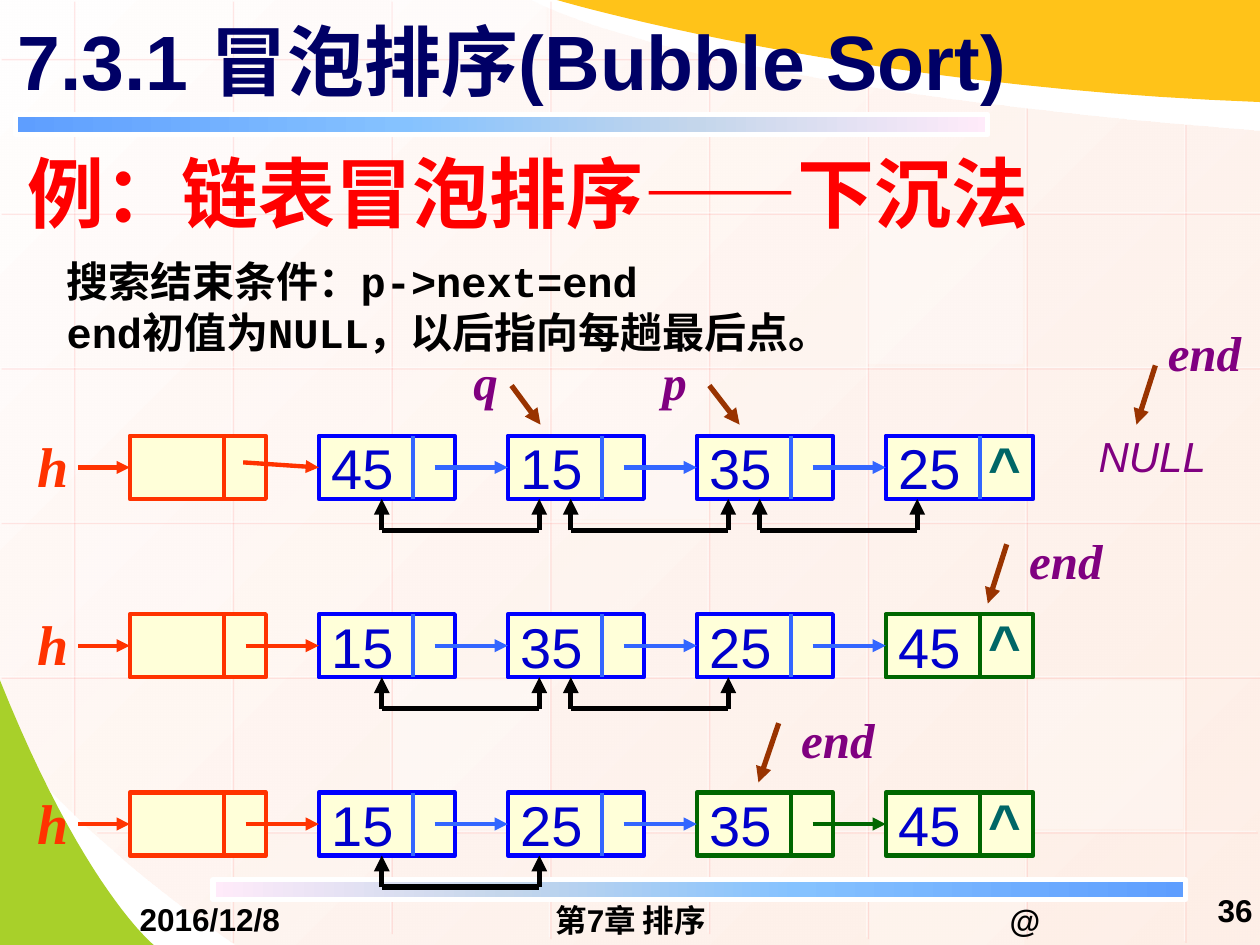
from dataclasses import dataclass

from pptx import Presentation
from pptx import util as u
from pptx.dml.color import RGBColor
from pptx.enum import shapes, text
from pptx.oxml import parse_xml
from pptx.oxml.ns import nsdecls, qn

CELL = u.Inches(0.25)
MIDDLE, TOP = text.MSO_ANCHOR.MIDDLE, text.MSO_ANCHOR.TOP
LEFT, CENTER, RIGHT = text.PP_ALIGN.LEFT, text.PP_ALIGN.CENTER, text.PP_ALIGN.RIGHT


@dataclass(frozen=True)
class Theme:
    sans: str = "Arial"
    serif: str = "Times New Roman"
    mono: str = "Courier New"
    heading: int = 44
    value: int = 32
    pointer: int = 28
    body: int = 24
    footer: int = 18
    black: str = "000000"
    white: str = "FFFFFF"
    title: str = "000066"
    example: str = "FF0000"
    node: str = "FFFFD9"
    number: str = "0000CC"
    border: str = "0000FF"
    link: str = "3366FF"
    head: str = "FF3300"
    settled: str = "006600"
    null: str = "006666"
    label: str = "800080"
    arrow: str = "993300"
    leaf: str = "A8D02A"
    sun: str = "FFC319"
    grid_shadow: str = "FF7575"
    paper: tuple = ((0, "FFFEFE", 100), (100, "FEE9DE", 70))
    bar: tuple = ((0, "5E9EFF", 100), (40, "85C2FF", 100),
                  (70, "C4D6EB", 100), (100, "FFEBFA", 100))


def cells(*lengths):
    return [round(length * CELL) for length in lengths]


def color_xml(rgb, opacity):
    return f'<a:srgbClr val="{rgb}"><a:alpha val="{opacity * 1000}"/></a:srgbClr>'


def curve(start, c1, c2, end, steps=24):
    for t in (k / steps for k in range(1, steps + 1)):
        s = 1 - t
        yield tuple(s**3 * a + 3 * s * s * t * b + 3 * s * t * t * c + t**3 * d
                    for a, b, c, d in zip(start, c1, c2, end))


class Board:
    def __init__(self, slide, theme):
        self.shapes, self.theme = slide.shapes, theme

    def paint(self, shape, fill, line=None, width=0, opacity=100, angle=0):
        shape.shadow.inherit = False
        if isinstance(fill, tuple):
            stops = "".join(f'<a:gs pos="{at * 1000}">{color_xml(rgb, alpha)}</a:gs>'
                            for at, rgb, alpha in fill)
            shape.element.spPr[1].addnext(parse_xml(
                f'<a:gradFill {nsdecls("a")} rotWithShape="1"><a:gsLst>{stops}</a:gsLst>'
                f'<a:lin ang="{angle * 60000}" scaled="0"/></a:gradFill>'))
        else:
            shape.fill.solid()
            shape.fill.fore_color.rgb = RGBColor.from_string(fill)
            self.fade(shape.element.spPr, opacity)
        if line:
            shape.line.color.rgb = RGBColor.from_string(line)
            shape.line.width = u.Pt(width)
        else:
            shape.line.fill.background()
        return shape

    def fade(self, properties, opacity):
        if opacity < 100:
            properties.find(".//" + qn("a:srgbClr")).append(
                parse_xml(f'<a:alpha {nsdecls("a")} val="{opacity * 1000}"/>'))

    def rect(self, box, fill, **style):
        shape = self.shapes.add_shape(shapes.MSO_SHAPE.RECTANGLE, *cells(*box))
        return self.paint(shape, fill, **style)

    def outline(self, points, fill, **style):
        start, *rest = [tuple(cells(*point)) for point in points]
        builder = self.shapes.build_freeform(*start, scale=1.0)
        builder.add_line_segments(rest, close=True)
        return self.paint(builder.convert_to_shape(), fill, **style)

    def line(self, start, end, color, width=2.5, arrow=False, target=None,
             opacity=100, shadow=""):
        line = self.shapes.add_connector(shapes.MSO_CONNECTOR.STRAIGHT,
                                         *cells(*start, *end))
        line.line.color.rgb = RGBColor.from_string(color)
        line.line.width = u.Pt(width)
        properties = line.element.spPr
        self.fade(properties, opacity)
        if arrow:
            properties.find(qn("a:ln")).append(
                parse_xml(f'<a:tailEnd {nsdecls("a")} type="triangle"/>'))
        properties.append(parse_xml(f'<a:effectLst {nsdecls("a")}>{shadow}</a:effectLst>'))
        if target is not None:
            line.end_connect(target, 1)

    def grid_line(self, start, end):
        shadow = ('<a:outerShdw dist="17780" dir="2700000" algn="tl" rotWithShape="0">'
                  f'{color_xml(self.theme.grid_shadow, 33)}</a:outerShdw>')
        self.line(start, end, self.theme.white, 0.75, opacity=50, shadow=shadow)

    def set_text(self, shape, lines, size, color, font=None, bold=False, italic=False,
                 align=LEFT, anchor=TOP, wrap=False, flat=False):
        frame = shape.text_frame
        frame.word_wrap, frame.vertical_anchor = wrap, anchor
        frame.auto_size = text.MSO_AUTO_SIZE.NONE
        if flat:
            frame.margin_top = frame.margin_bottom = 0
        for index, words in enumerate(lines.split("\n")):
            paragraph = frame.add_paragraph() if index else frame.paragraphs[0]
            paragraph.alignment = align
            run = paragraph.add_run()
            run.text = words
            run.font.name = font or self.theme.sans
            run.font.size = u.Pt(size)
            run.font.bold, run.font.italic = bold, italic
            run.font.color.rgb = RGBColor.from_string(color)

    def label(self, box, lines, size, color, **style):
        self.set_text(self.shapes.add_textbox(*cells(*box)), lines, size, color, **style)

    def title(self, box, words):
        title = self.shapes.title
        title.left, title.top, title.width, title.height = cells(*box)
        self.shapes.element.append(title.element)
        self.set_text(title, words, self.theme.heading, self.theme.title,
                      bold=True, anchor=MIDDLE, wrap=True)

    def linked_list(self, row, values, settled):
        t = self.theme
        top = 13.84 + 5.66 * row
        middle, bottom = top + 1, top + 2
        lefts = [4.12 + 6 * k for k in range(len(values) + 1)]
        first_settled = len(lefts) - settled
        last = len(lefts) - 1
        nodes, link_colors = [], []
        for k, (left, value) in enumerate(zip(lefts, [""] + values)):
            border, link = ((t.head, t.head) if k == 0 else
                            (t.settled, t.settled) if k >= first_settled else
                            (t.border, t.link))
            node = self.rect((left, top, 4.68 if k == last else 4.32, 2), t.node,
                             line=border, width=2.5)
            if value:
                self.set_text(node, value, t.value, t.number, anchor=MIDDLE)
            self.line((left + 3, top), (left + 3, bottom), link)
            nodes.append(node)
            link_colors.append(link)
        self.label((0.8, top - 0.34, 1.8, 2.52), "h", t.value, t.head,
                   font=t.serif, bold=True, italic=True)
        self.line((2.48, middle), (lefts[0], middle), t.head, arrow=True, target=nodes[0])
        for k in range(last):
            start = (7.72, middle - 0.16) if row == k == 0 else (lefts[k] + 3.68, middle)
            self.line(start, (lefts[k + 1], middle), link_colors[k],
                      arrow=True, target=nodes[k + 1])
        self.label((lefts[last] + 2.88, top - 0.34, 1.8, 2.52), "^", t.value, t.null,
                   bold=True)
        for left in lefts[1:last - settled]:
            ends = left + 2, left + 7
            for x in ends:
                self.line((x, bottom + 1), (x, bottom), t.black, 3, arrow=True)
            self.line((ends[0], bottom + 1), (ends[1], bottom + 1), t.black, 3)

    def pointer(self, name, corner, start, end):
        t = self.theme
        self.label((*corner, 3.12 if len(name) > 1 else 1.6, 2.28), name, t.pointer,
                   t.label, font=t.serif, bold=True, italic=True)
        self.line(start, end, t.arrow, 3, arrow=True)


def draw_background(board):
    t = board.theme
    board.outline([(40, 4.16), (40, 30), (7.48, 30),
                   *curve((7.48, 30), (2.2, 26.4), (0, 23.2), (0, 23.2)),
                   (0, 0), (16.84, 0),
                   *curve((16.84, 0), (16.84, 0), (21.48, 2.76), (40, 4.16))],
                  t.paper, angle=45)
    board.outline([(0, 21.6), (0, 30), (4.88, 30),
                   *curve((4.88, 30), (4.88, 30), (2.64, 28.2), (0, 21.6))], t.leaf)
    column_ends = [(0, 25.84), (0, 29.88), (0, 29.6), (0, 29.76), (1.72, 29.6),
                   (2.72, 29.76), (3.4, 29.76), (3.92, 29.88)]
    for k, (top, bottom) in enumerate(column_ends):
        x = 2.32 + 5.04 * k
        board.grid_line((x, top), (x, bottom))
    row_ends = [(0, 22.72)] + [(0, 40)] * 4 + [(3.04, 39.88)]
    for k, (left, right) in enumerate(row_ends):
        y = 1.84 + 4.91 * k
        board.grid_line((right, y), (left, y))
    for x, y, height, opacity in [
            (17.52, 11.76, 4.72, 25), (32.64, 21.6, 4.72, 30), (2.4, 16.64, 4.72, 20),
            (27.6, 26.52, 3.48, 20), (12.44, 0, 1.76, 40), (12.48, 21.6, 4.72, 30),
            (27.56, 6.84, 4.72, 30)]:
        board.rect((x, y, 4.92, height), t.white, opacity=opacity)
    board.outline([(40, 3.24), (40, 0), (17.68, 0),
                   *curve((17.68, 0), (17.68, 0), (26.96, 2.76), (40, 3.24))], t.sun)
    for x, y, turn in [(0.48, 3.64, 0), (6.76, 27.92, 180)]:
        board.rect((x, y, 30.88, 0.64), t.bar, line=t.white, width=3).rotation = turn


def main():
    deck = Presentation()
    deck.slide_width, deck.slide_height = 40 * CELL, 30 * CELL
    t = Theme()
    board = Board(deck.slides.add_slide(deck.slide_layouts[5]), t)
    draw_background(board)
    board.title((0.16, -0.12, 36, 4.04), "7.3.1 冒泡排序(Bubble Sort)")
    for box, words, align in [
            ((27.88, 28.6, 9.32, 1.2), "@", CENTER),
            ((2, 28.56, 9.32, 1.2), "2016/12/8", CENTER),
            ((13.68, 28.6, 12.68, 1.2), "第7章 排序", CENTER),
            ((37.52, 27.92, 2.64, 1.96), "36", RIGHT)]:
        board.label(box, words, t.footer, t.black, bold=True, align=align,
                    anchor=MIDDLE, wrap=True, flat=True)
    board.label((0.48, 4.6, 36, 3), "例：链表冒泡排序——下沉法", t.heading, t.example,
                bold=True, anchor=MIDDLE, wrap=True)
    passes = [["45", "15", "35", "25"], ["15", "35", "25", "45"], ["15", "25", "35", "45"]]
    for row, values in enumerate(passes):
        board.linked_list(row, values, settled=row)
    board.label((34.48, 13.48, 4.36, 2), "NULL", t.body, t.label, italic=True)
    for pointer in [
            ("q", (14.64, 10.96), (16.24, 12.24), (17.16, 13.48)),
            ("p", (20.64, 10.96), (22.52, 12.24), (23.48, 13.48)),
            ("end", (36.68, 10.04), (36.68, 11.6), (36.08, 13.48)),
            ("end", (32.28, 16.64), (31.96, 17.28), (31.36, 19.16)),
            ("end", (25.04, 22.32), (24.72, 22.96), (24.08, 24.84))]:
        board.pointer(*pointer)
    board.label((1.72, 7.92, 25.16, 3.6),
                "搜索结束条件：p->next=end\nend初值为NULL，以后指向每趟最后点。",
                t.body, t.black, font=t.mono, bold=True)
    deck.save("out.pptx")


if __name__ == "__main__":
    main()
